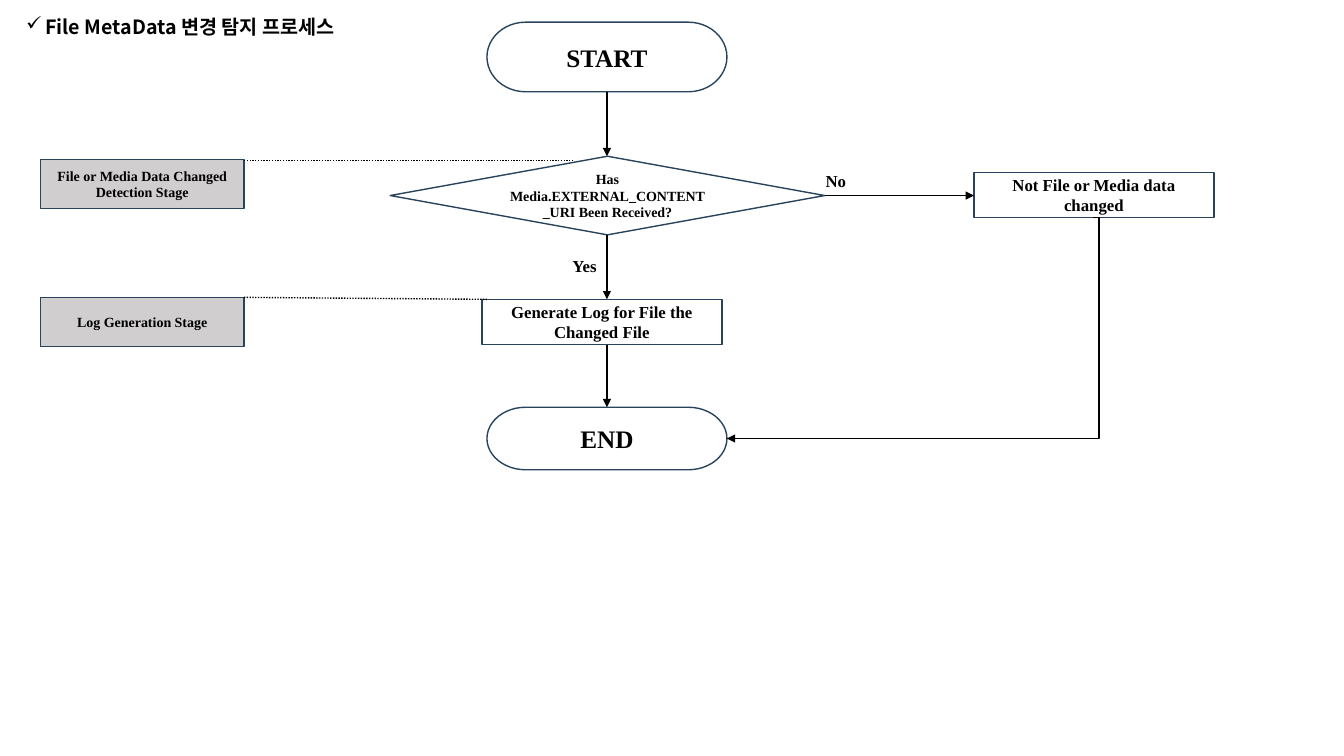
"""Build the flowchart slide for the file metadata change detection process."""
from dataclasses import dataclass

from lxml.etree import SubElement
from pptx import Presentation
from pptx.dml.color import RGBColor
from pptx.enum.dml import MSO_LINE
from pptx.enum.shapes import MSO_CONNECTOR as Connector, MSO_SHAPE as Shape
from pptx.enum.text import MSO_ANCHOR as Anchor, PP_ALIGN as Align
from pptx.oxml import parse_xml
from pptx.oxml.ns import nsdecls, qn
from pptx.util import Inches, Pt


@dataclass(frozen=True)
class Theme:
    ink: RGBColor = RGBColor(0x00, 0x00, 0x00)
    outline: RGBColor = RGBColor(0x28, 0x44, 0x5D)
    stage: RGBColor = RGBColor(0xD0, 0xCE, 0xCE)
    body_font: str = "Times New Roman"
    title_font: str = "Noto Sans CJK KR"
    terminal: int = 18
    title: int = 14
    step: int = 12
    small: int = 10
    line: int = 1


THEME = Theme()
TITLE = ("File MetaData 변경 탐지 프로세스", (0.16, 0.1, 3.33, 0.34))
NODES = {
    "start": (Shape.FLOWCHART_TERMINATOR, "START", (4.83, 0.22, 2.38, 0.69), THEME.terminal),
    "decision": (Shape.FLOWCHART_DECISION, "Has Media.EXTERNAL_CONTENT_URI Been Received?",
                 (3.87, 1.55, 4.31, 0.78), THEME.small),
    "unchanged": (Shape.RECTANGLE, "Not File or Media data changed",
                  (9.66, 1.71, 2.38, 0.45), THEME.step),
    "log": (Shape.RECTANGLE, "Generate Log for File the Changed File",
            (4.78, 2.97, 2.38, 0.45), THEME.step),
    "end": (Shape.FLOWCHART_TERMINATOR, "END", (4.83, 4.04, 2.38, 0.62), THEME.terminal),
}
STAGES = [
    ("File or Media Data Changed Detection Stage", 1.58, (1.59, 5.68, 1.59)),
    ("Log Generation Stage", 2.95, (2.95, 4.83, 2.97)),
]
STAGE_LEFT, STAGE_WIDTH, STAGE_HEIGHT = 0.4, 2.02, 0.49
BRANCHES = [("No", (8.09, 1.64, 0.7, 0.3)), ("Yes", (5.58, 2.49, 0.7, 0.3))]
FLOW = ["start", "decision", "log", "end"]
RETURN_START, RETURN_BEND = 10.84, 10.9


def write(box, text, size, font=THEME.body_font):
    frame = box.text_frame
    frame.word_wrap = True
    para = frame.paragraphs[0]
    para.text = text
    para.font.name = font
    para.font.size = Pt(size)
    para.font.bold = True
    para.font.color.rgb = THEME.ink
    return para


def add_node(page, kind, text, place, size, fill=None):
    box = page.shapes.add_shape(kind, *map(Inches, place))
    box.shadow.inherit = False
    if fill is None:
        box.fill.background()
    else:
        box.fill.solid()
        box.fill.fore_color.rgb = fill
    box.line.color.rgb = THEME.outline
    box.line.width = Pt(THEME.line)
    box.text_frame.vertical_anchor = Anchor.MIDDLE
    write(box, text, size).alignment = Align.CENTER


def add_label(page, text, place, size, font=THEME.body_font):
    box = page.shapes.add_textbox(*map(Inches, place))
    return write(box, text, size, font)


def add_title(page):
    text, place = TITLE
    para = add_label(page, text, place, THEME.title, THEME.title_font)
    properties = para._p.get_or_add_pPr()
    properties.set("marL", str(Inches(0.19)))
    properties.set("indent", str(Inches(-0.19)))
    properties.insert(0, parse_xml(f'<a:buChar {nsdecls("a")} char="✓"/>'))
    SubElement(properties.find(qn("a:defRPr")), qn("a:ea"), typeface=THEME.title_font)


def add_line(page, start, finish, kind=Connector.STRAIGHT, dotted=False):
    line = page.shapes.add_connector(kind, *map(Inches, start + finish))
    line.line.color.rgb = THEME.ink
    line.line.width = Pt(THEME.line)
    if dotted:
        line.line.dash_style = MSO_LINE.ROUND_DOT
    else:
        SubElement(line.line._get_or_add_ln(), qn("a:tailEnd"), type="triangle")
    SubElement(line._element.spPr, qn("a:effectLst"))
    return line


def add_return(page):
    left, top, width, height = NODES["end"][2]
    box_top, box_height = NODES["unchanged"][2][1::2]
    target = left + width
    line = add_line(page, (RETURN_START, box_top + box_height),
                    (target, top + height / 2), Connector.ELBOW)
    bend = round((RETURN_START - RETURN_BEND) / (RETURN_START - target) * 100000)
    geometry = line._element.spPr.find(qn("a:prstGeom"))
    guides = geometry.find(qn("a:avLst"))
    SubElement(guides, qn("a:gd"), name="adj1", fmla=f"val {bend}")


def main():
    deck = Presentation()
    deck.slide_width, deck.slide_height = Inches(13.33), Inches(7.5)
    page = deck.slides.add_slide(deck.slide_layouts[6])

    for node in NODES.values():
        add_node(page, *node)

    left, top, width, height = NODES["start"][2]
    center = left + width / 2
    for source, target in zip(FLOW, FLOW[1:]):
        _, top, _, height = NODES[source][2]
        add_line(page, (center, top + height), (center, NODES[target][2][1]))

    left, top, width, height = NODES["decision"][2]
    middle = top + height / 2
    add_line(page, (left + width, middle), (NODES["unchanged"][2][0], middle))
    add_return(page)

    for text, top, (line_top, reach, line_end) in STAGES:
        place = (STAGE_LEFT, top, STAGE_WIDTH, STAGE_HEIGHT)
        add_node(page, Shape.RECTANGLE, text, place, THEME.small, THEME.stage)
        add_line(page, (STAGE_LEFT + STAGE_WIDTH, line_top), (reach, line_end), dotted=True)

    for text, place in BRANCHES:
        add_label(page, text, place, THEME.step)
    add_title(page)
    deck.save("out.pptx")


if __name__ == "__main__":
    main()
